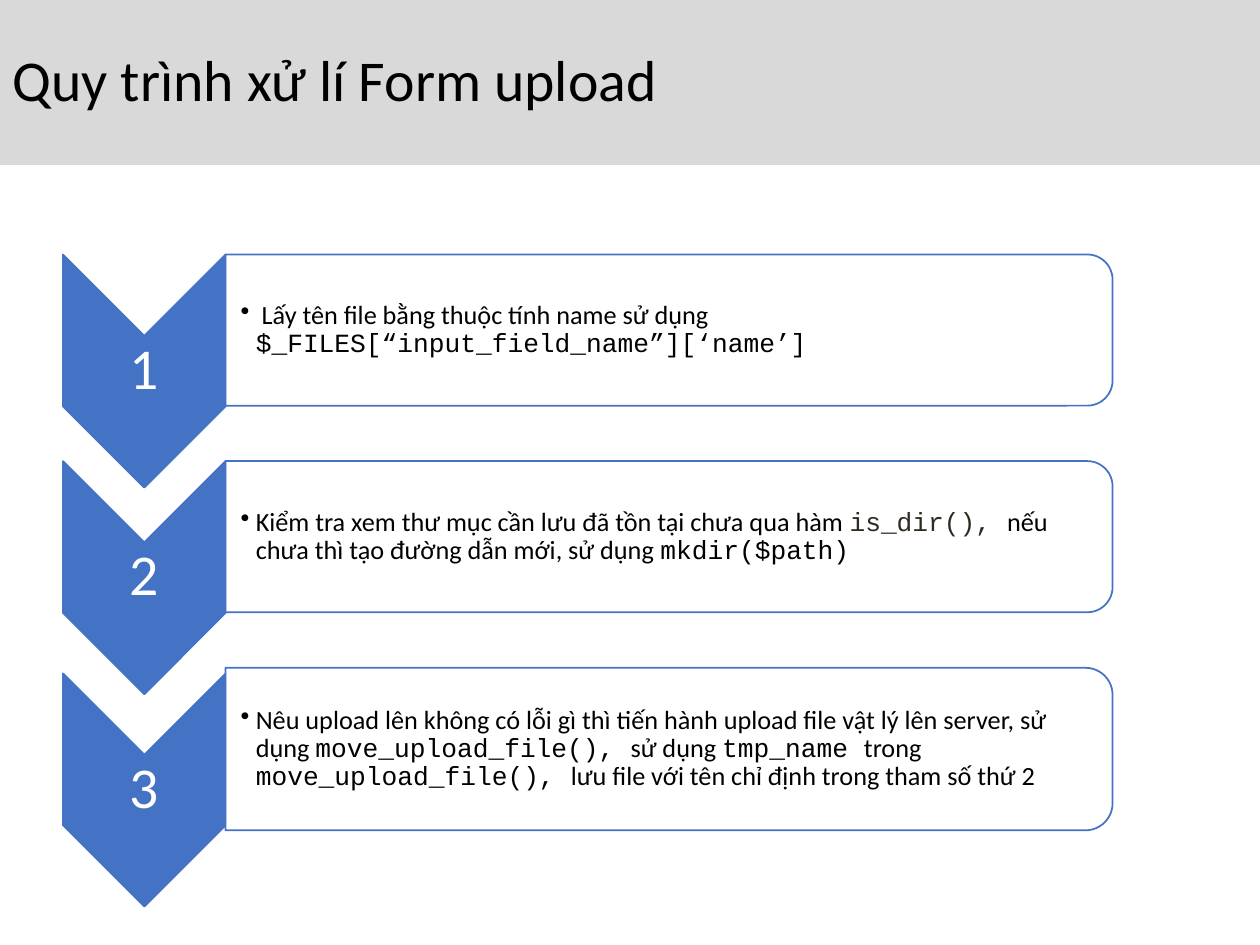
from dataclasses import dataclass

from pptx import Presentation
from pptx import util as u
from pptx.dml.color import RGBColor
from pptx.enum import shapes, text
from pptx.oxml.xmlchemy import OxmlElement


@dataclass(frozen=True)
class Theme:
    """Colours, fonts and type sizes of the slide."""
    band: str = "D9D9D9"
    accent: str = "4472C4"
    white: str = "FFFFFF"
    black: str = "000000"
    olive: str = "2F2B20"
    body_font: str = "Calibri"
    code_font: str = "Courier New"
    large: int = 33
    small: int = 15


THEME = Theme()
TITLE = "Quy trình xử lí Form upload"
BODY = (THEME.body_font, THEME.black)
CODE = (THEME.code_font, THEME.black)
CODE_OLIVE = (THEME.code_font, THEME.olive)
STEPS = [
    (1.2, [(" Lấy tên file bằng thuộc tính name sử dụng ", BODY),
           ("$_FILES[“input_field_name”][‘name’]", CODE)]),
    (1.2, [("Kiểm tra xem thư mục cần lưu đã tồn tại chưa qua hàm ", BODY),
           ("is_dir(), ", CODE_OLIVE),
           ("nếu chưa thì tạo đường dẫn mới, sử dụng ", BODY),
           ("mkdir($path)", CODE)]),
    (1.29, [("Nêu upload lên không có lỗi gì thì tiến hành upload file vật lý "
             "lên server, sử dụng ", BODY),
            ("move_upload_file(), ", CODE),
            ("sử dụng ", BODY),
            ("tmp_name ", CODE),
            ("trong ", BODY),
            ("move_upload_file(), ", CODE),
            ("lưu file với tên chỉ định trong tham số thứ 2", BODY)]),
]
ROW_LEFT, ROW_TOP, ROW_WIDTH, ROW_PITCH = 0.5, 2.02, 8.33, 1.64
CHEVRON_WIDTH, CHEVRON_HEIGHT, CHEVRON_BASE = 1.29, 1.85, 1.2


def format_run(run, size, font, color):
    """Set the size, typeface and colour of a run."""
    run.font.size = u.Pt(size)
    run.font.name = font
    run.font.color.rgb = RGBColor.from_string(color)


def add_turned_shape(group, kind, left, top, width, height, fill):
    """Add a shape turned by 90 degrees that fills the given visible box."""
    shape = group.shapes.add_shape(
        kind, u.Inches(left + (width - height) / 2),
        u.Inches(top + (height - width) / 2), u.Inches(height), u.Inches(width))
    shape.rotation = 90
    shape.shadow.inherit = False
    shape.fill.solid()
    shape.fill.fore_color.rgb = RGBColor.from_string(fill)
    shape.line.color.rgb = RGBColor.from_string(THEME.accent)
    shape.line.width = u.Pt(1)
    return shape


def add_text_area(group, left, top, width, height, left_inset, inset):
    """Add a wrapped, middle-anchored text box and return its paragraph."""
    box = group.shapes.add_textbox(*map(u.Inches, (left, top, width, height)))
    frame = box.text_frame
    frame.word_wrap = True
    frame.vertical_anchor = text.MSO_ANCHOR.MIDDLE
    frame.margin_left = u.Inches(left_inset)
    frame.margin_top = frame.margin_right = frame.margin_bottom = u.Inches(inset)
    paragraph = frame.paragraphs[0]
    paragraph.line_spacing = 0.9
    return paragraph


def set_bullet(paragraph, indent):
    """Give a paragraph a hanging round bullet."""
    properties = paragraph._p.get_or_add_pPr()
    properties.set("marL", str(u.Inches(indent)))
    properties.set("indent", str(-u.Inches(indent)))
    bullet = OxmlElement("a:buChar")
    bullet.set("char", "•")
    properties.append(bullet)


def set_opacity(shape, percent):
    """Set the opacity of a solid shape fill."""
    alpha = OxmlElement("a:alpha")
    alpha.set("val", str(percent * 1000))
    shape.fill._xPr.find(".//{*}srgbClr").append(alpha)


def add_title(slide, left, top, width, height):
    """Place the title as a full-width band."""
    title = slide.shapes.title
    title.left, title.top, title.width, title.height = map(
        u.Inches, (left, top, width, height))
    title.fill.solid()
    title.fill.fore_color.rgb = RGBColor.from_string(THEME.band)
    frame = title.text_frame
    frame.text = TITLE
    frame.word_wrap = True
    frame.vertical_anchor = text.MSO_ANCHOR.MIDDLE
    paragraph = frame.paragraphs[0]
    paragraph.alignment = text.PP_ALIGN.LEFT
    paragraph.line_spacing = 0.9
    format_run(paragraph.runs[0], THEME.large, *BODY)


def add_chevron(group, number, left, top):
    """Draw a downward chevron with its step number."""
    add_turned_shape(group, shapes.MSO_SHAPE.CHEVRON, left, top,
                     CHEVRON_WIDTH, CHEVRON_HEIGHT, THEME.accent)
    paragraph = add_text_area(group, left, top + CHEVRON_WIDTH / 2,
                              CHEVRON_WIDTH, 0.55, 0.02, 0.02)
    paragraph.text = str(number)
    paragraph.alignment = text.PP_ALIGN.CENTER
    format_run(paragraph.runs[0], THEME.large, THEME.body_font, THEME.white)


def add_panel(group, pieces, left, top, width, height):
    """Draw a panel rounded on the right with its bulleted text."""
    panel = add_turned_shape(group, shapes.MSO_SHAPE.ROUND_2_SAME_RECTANGLE,
                             left, top, width, height, THEME.white)
    set_opacity(panel, 90)
    paragraph = add_text_area(group, left, top + 0.06, width - 0.06,
                              height - 0.12, 0.12, 0.01)
    paragraph.level = 1
    set_bullet(paragraph, 0.12)
    for wording, style in pieces:
        run = paragraph.add_run()
        run.text = wording
        format_run(run, THEME.small, *style)


def add_steps(slide, left, top, width, pitch):
    """Stack the numbered steps in one group."""
    group = slide.shapes.add_group_shape()
    for index, (height, pieces) in enumerate(STEPS):
        row_top = top + index * pitch
        add_chevron(group, index + 1, left, row_top + (height - CHEVRON_BASE) / 2)
        add_panel(group, pieces, left + CHEVRON_WIDTH, row_top,
                  width - CHEVRON_WIDTH, height)


def main():
    """Build and save the slide."""
    presentation = Presentation()
    presentation.slide_width = u.Inches(10)
    presentation.slide_height = u.Inches(7.5)
    slide = presentation.slides.add_slide(presentation.slide_layouts[5])
    add_title(slide, 0, 0, 10, 1.31)
    add_steps(slide, ROW_LEFT, ROW_TOP, ROW_WIDTH, ROW_PITCH)
    presentation.save("out.pptx")


if __name__ == "__main__":
    main()
